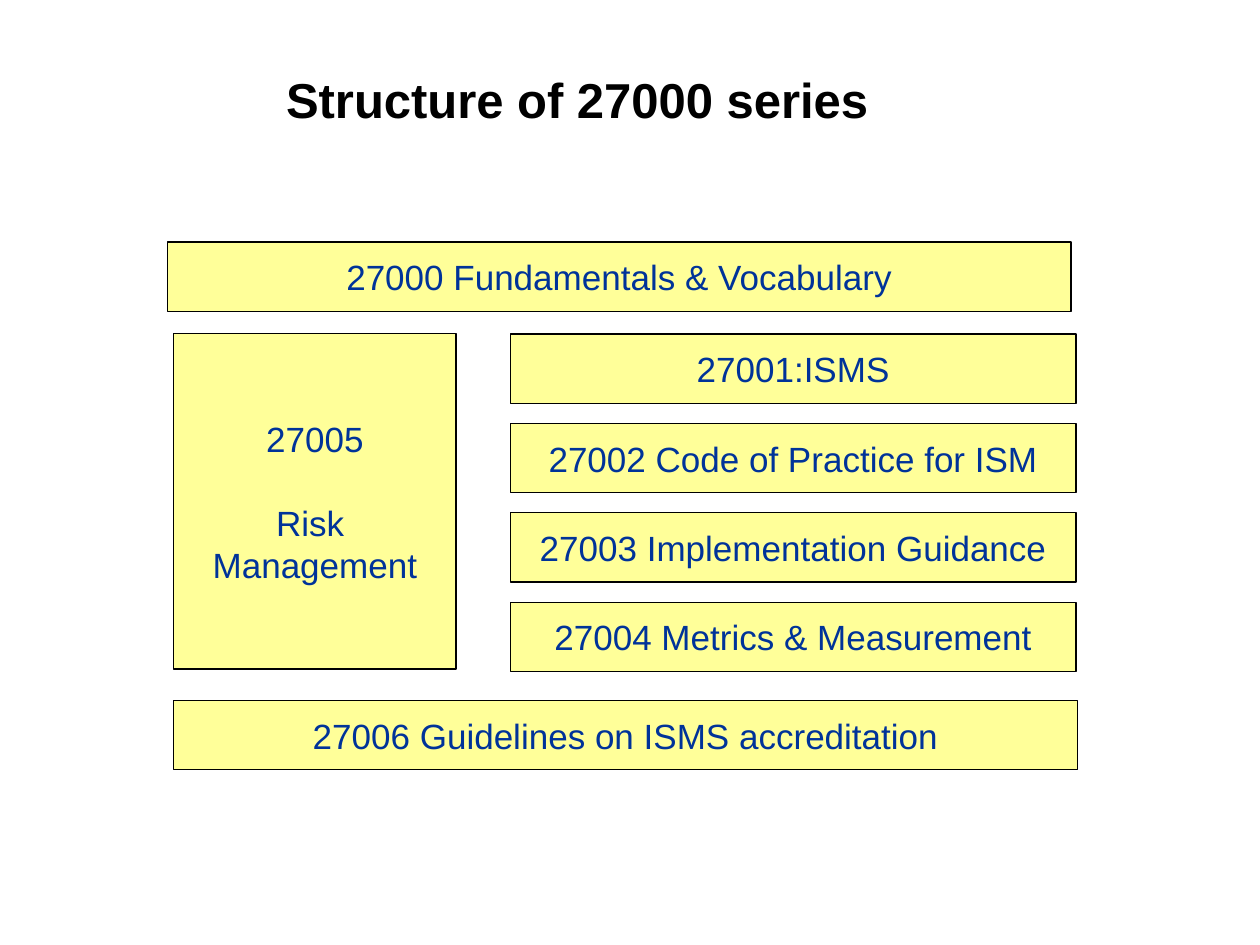
import pptx
import pptx.util
import pptx.dml.color
import pptx.enum.shapes
import pptx.enum.text

Inches, Pt = pptx.util.Inches, pptx.util.Pt
RGBColor = pptx.dml.color.RGBColor
PP_ALIGN, MSO_ANCHOR = pptx.enum.text.PP_ALIGN, pptx.enum.text.MSO_ANCHOR

TITLE = "Structure of 27000 series"
VOCABULARY = ["27000 Fundamentals & Vocabulary"]
RISK = ["27005", "Risk ", "Management"]
CORE_STANDARDS = [
    "27001:ISMS",
    "27002 Code of Practice for ISM",
    "27003 Implementation Guidance",
    "27004 Metrics & Measurement",
]
ACCREDITATION = ["27006 Guidelines on ISMS accreditation"]

BLACK = RGBColor(0x00, 0x00, 0x00)
YELLOW = RGBColor(0xFF, 0xFF, 0x99)
BLUE = RGBColor(0x00, 0x33, 0x99)

BAR_WIDTH, BAR_HEIGHT = 7.17, 0.55
LEFT, CORE_LEFT, CORE_TOP = 1.38, 4.05, 2.65
CORE_STEP = 0.71


def write_line(paragraph, line, size, color, align, bold=False):
    paragraph.alignment = align
    run = paragraph.add_run()
    run.text = line
    run.font.name = "Arial"
    run.font.size = Pt(size)
    run.font.bold = bold
    run.font.color.rgb = color


def add_standard(slide, lines, left, top, width, height=BAR_HEIGHT):
    box = slide.shapes.add_shape(
        pptx.enum.shapes.MSO_SHAPE.RECTANGLE,
        Inches(left), Inches(top), Inches(width), Inches(height))
    box.shadow.inherit = False
    box.fill.solid()
    box.fill.fore_color.rgb = YELLOW
    box.line.color.rgb = BLACK
    box.line.width = Pt(0.75)
    frame = box.text_frame
    frame.word_wrap = False
    frame.vertical_anchor = MSO_ANCHOR.MIDDLE
    for index, line in enumerate(lines):
        paragraph = frame.add_paragraph() if index else frame.paragraphs[0]
        write_line(paragraph, line, 20, BLUE, PP_ALIGN.CENTER)
    return box


def main():
    deck = pptx.Presentation()
    deck.slide_width, deck.slide_height = Inches(10), Inches(7.5)
    slide = deck.slides.add_slide(deck.slide_layouts[5])

    title = slide.shapes.title
    title.left, title.top = Inches(2.17), Inches(0.5)
    title.width, title.height = Inches(4.84), Inches(0.57)
    title.text_frame.word_wrap = False
    title.text_frame.vertical_anchor = MSO_ANCHOR.TOP
    write_line(title.text_frame.paragraphs[0], TITLE, 28, BLACK, PP_ALIGN.LEFT, True)

    add_standard(slide, VOCABULARY, 1.33, 1.92, BAR_WIDTH)
    for row, standard in enumerate(CORE_STANDARDS):
        add_standard(slide, [standard], CORE_LEFT, CORE_TOP + row * CORE_STEP, 4.49)
    risk = add_standard(slide, RISK, LEFT, CORE_TOP, 2.24, 2.66)
    risk.text_frame.paragraphs[1].space_before = Pt(24)
    add_standard(slide, ACCREDITATION, LEFT, 5.56, BAR_WIDTH)

    deck.save("out.pptx")


if __name__ == "__main__":
    main()
